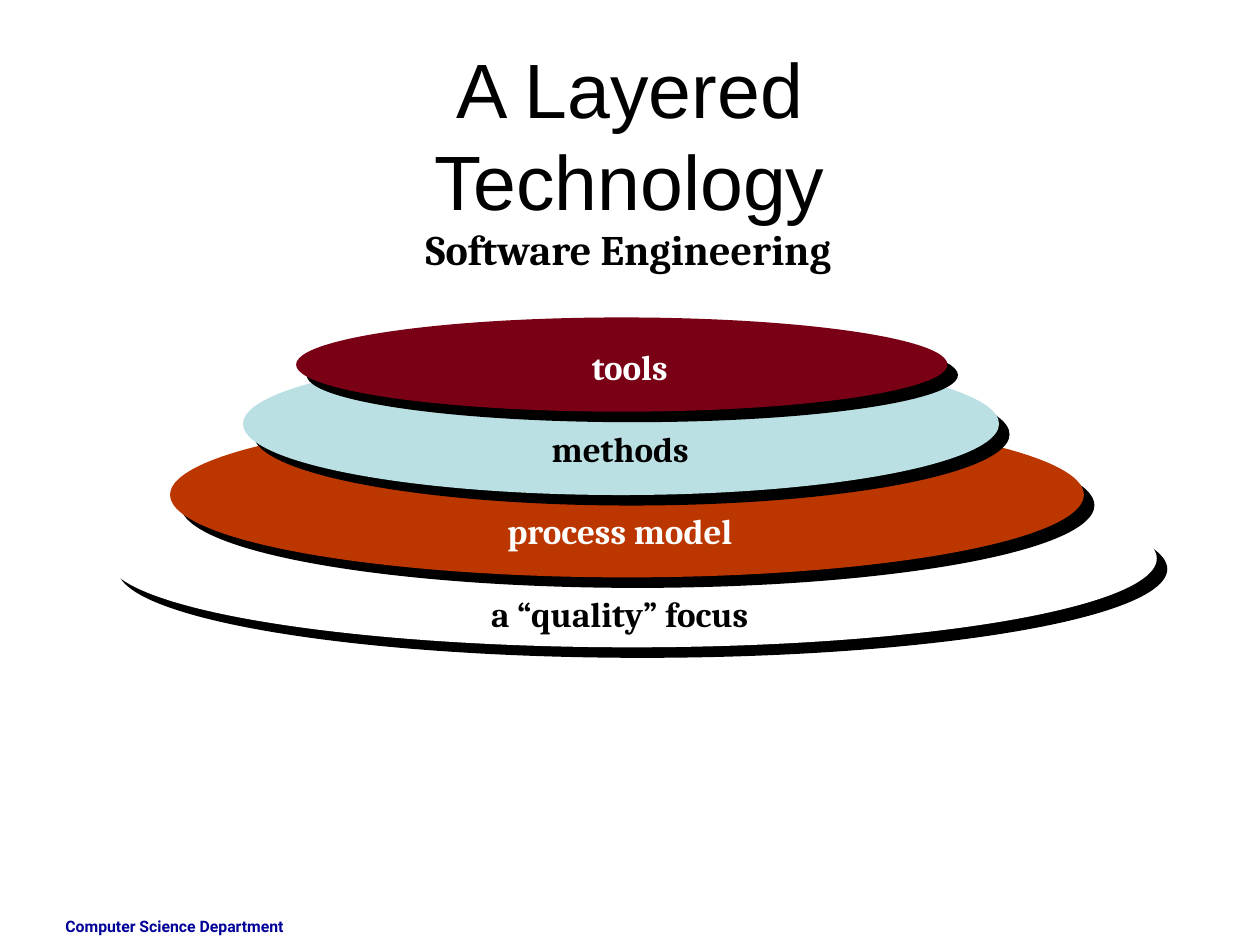
from lxml import etree
from pptx import Presentation
from pptx.dml.color import RGBColor
from pptx.enum.shapes import MSO_SHAPE
from pptx.enum.text import PP_ALIGN
from pptx.oxml.ns import qn
from pptx.util import Cm, Pt

ELLIPSE = MSO_SHAPE.OVAL
LEFT, CENTER = PP_ALIGN.LEFT, PP_ALIGN.CENTER
BLANK_LAYOUT = 6

COLORS = {
    "black": "000000",
    "white": "FFFFFF",
    "navy": "000099",
    "orange": "BC3700",
    "pale blue": "BBE0E3",
    "maroon": "790015",
}

# Bottom to top: label, fill, text colour, ellipse (cm), label left and width (cm)
LAYERS = [
    ("a “quality” focus", "white", "black", (2.16, 9.47, 21.16, 3.58), (9.65, 5.97)),
    ("process model", "orange", "white", (3.43, 8.31, 18.42, 3.33), (9.98, 5.11)),
    ("methods", "pale blue", "black", (4.9, 7.11, 15.24, 2.87), (10.87, 3.3)),
    ("tools", "maroon", "white", (5.97, 6.4, 13.13, 1.9), (11.68, 2.08)),
]
BOTTOM_LABEL_TOP, LABEL_STEP, LABEL_HEIGHT = 11.81, 1.66, 1.09


def rgb(name):
    return RGBColor.from_string(COLORS[name])


def add_text(page, text, place, size, font, color, bold=True, wrap=False,
             align=LEFT, margins=(0.25, 0.13), line_spacing=None):
    box = page.shapes.add_textbox(*map(Cm, place))
    frame = box.text_frame
    frame.word_wrap = wrap
    frame.margin_left = frame.margin_right = Cm(margins[0])
    frame.margin_top = frame.margin_bottom = Cm(margins[1])
    para = frame.paragraphs[0]
    para.text = text
    para.alignment = align
    para.line_spacing = line_spacing
    para.font.name = font
    para.font.size = Pt(size)
    para.font.bold = bold
    para.font.color.rgb = rgb(color)


def add_hard_shadow(shape):
    shape.shadow.inherit = False
    effects = shape._element.spPr.find(qn("a:effectLst"))
    shadow = etree.SubElement(effects, qn("a:outerShdw"), blurRad="0",
                              dist=str(Pt(8.5)), dir="2700000",
                              algn="ctr", rotWithShape="0")
    etree.SubElement(shadow, qn("a:srgbClr"), val=COLORS["black"])


def add_disc(page, place, fill):
    disc = page.shapes.add_shape(ELLIPSE, *map(Cm, place))
    disc.fill.solid()
    disc.fill.fore_color.rgb = rgb(fill)
    disc.line.fill.background()
    add_hard_shadow(disc)


def main():
    deck = Presentation()
    deck.slide_width, deck.slide_height = Cm(25.4), Cm(19.05)
    page = deck.slides.add_slide(deck.slide_layouts[BLANK_LAYOUT])

    # Footer and headings
    add_text(page, "Computer Science Department", (1.07, 18.36, 5.92, 0.69),
             9, "Roboto", "navy", wrap=True)
    add_text(page, "A Layered Technology", (5.64, 0.76, 14.12, 3.86),
             44, "Arial", "black", bold=False, wrap=True, align=CENTER,
             margins=(0.18, 0.08))
    add_text(page, "Software Engineering", (8.33, 4.5, 8.94, 1.17),
             24, "Cambria", "black", line_spacing=0.9)

    # Stacked discs, then their labels on top
    for _, fill, _, place, _ in LAYERS:
        add_disc(page, place, fill)
    for level, (label, _, color, _, (left, width)) in enumerate(LAYERS):
        top = BOTTOM_LABEL_TOP - level * LABEL_STEP
        add_text(page, label, (left, top, width, LABEL_HEIGHT), 20, "Cambria", color)

    deck.save("out.pptx")


if __name__ == "__main__":
    main()
